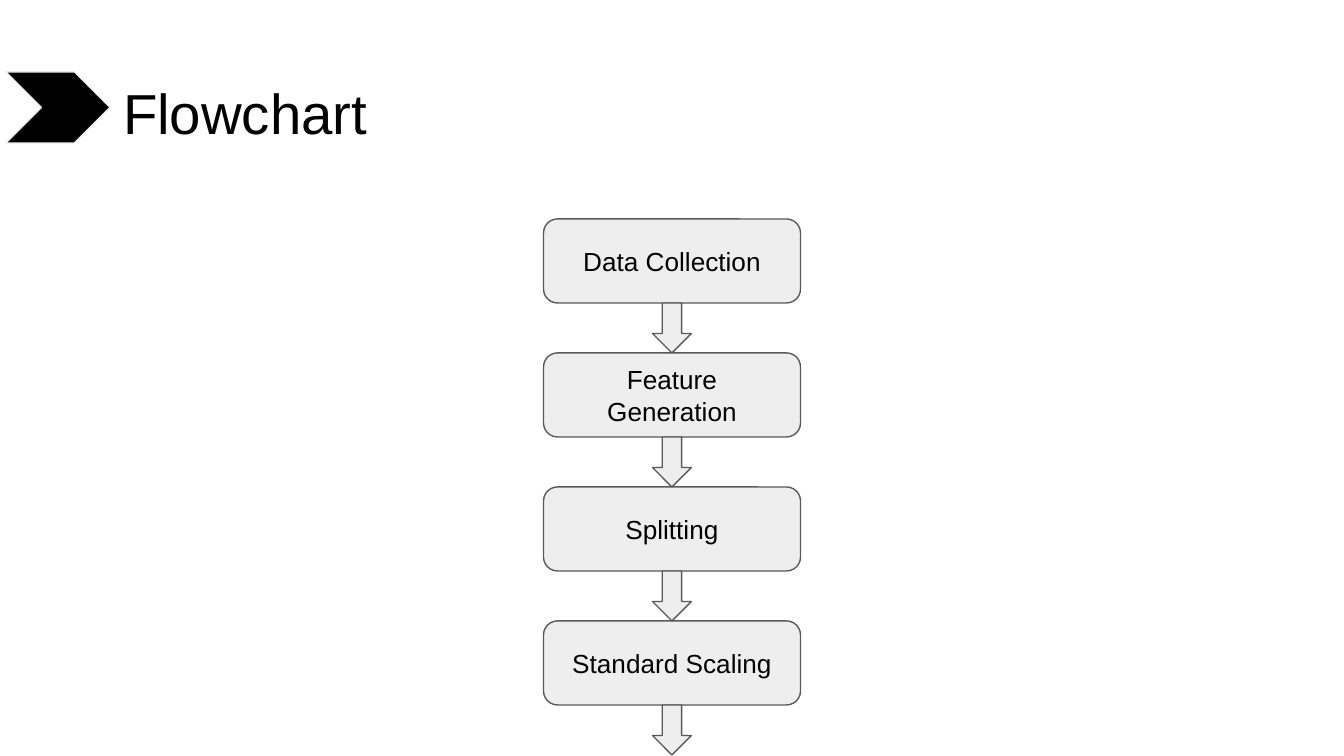
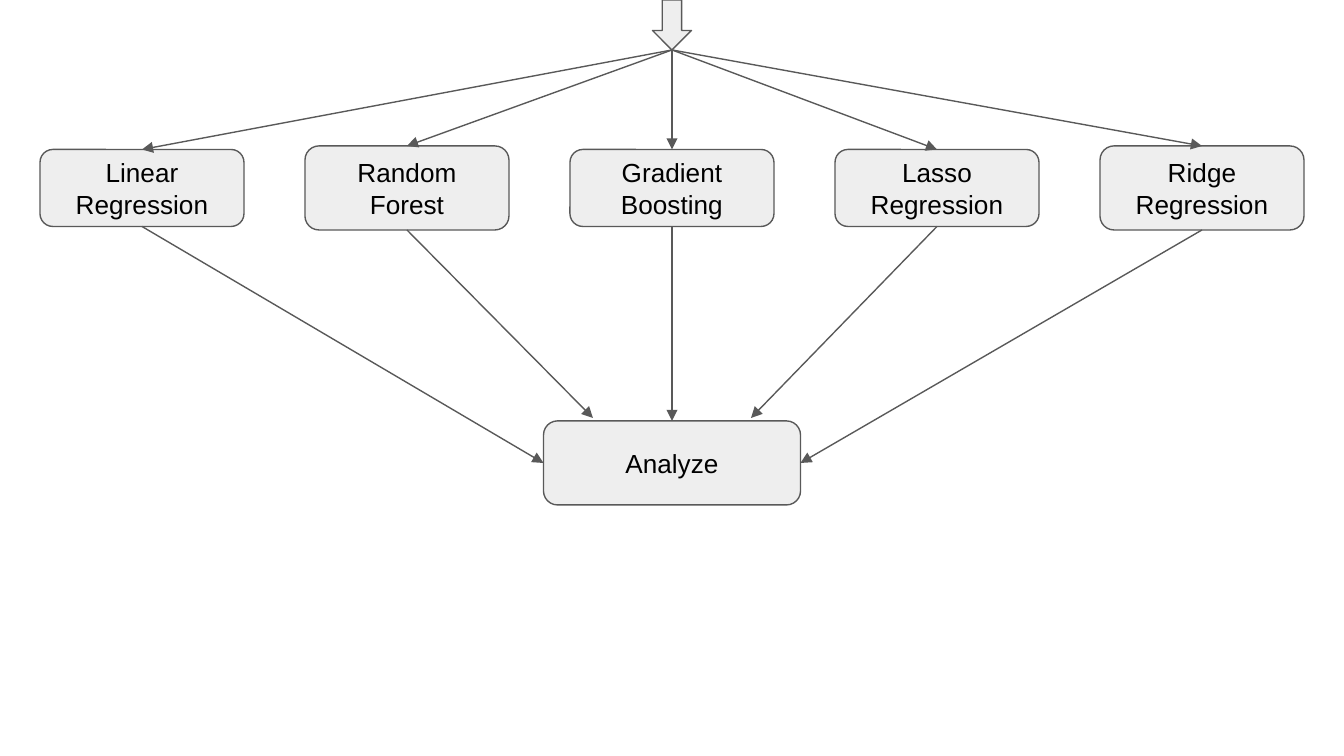
from pptx import Presentation
from pptx.dml.color import RGBColor
from pptx.enum.shapes import MSO_CONNECTOR, MSO_SHAPE
from pptx.enum.text import MSO_ANCHOR, MSO_AUTO_SIZE, PP_ALIGN
from pptx.oxml.ns import qn
from pptx.util import Pt
from lxml import etree

EMU_PER_INCH = 914400
PX_PER_INCH = 134.4
PAGE_WIDTH, PAGE_HEIGHT = 1344, 756
TITLE_ONLY, BLANK = 5, 6

ROUNDED = MSO_SHAPE.ROUNDED_RECTANGLE
DOWN_ARROW = MSO_SHAPE.DOWN_ARROW
CHEVRON = MSO_SHAPE.CHEVRON
STRAIGHT = MSO_CONNECTOR.STRAIGHT
MIDDLE, TOP_ANCHOR = MSO_ANCHOR.MIDDLE, MSO_ANCHOR.TOP
CENTER, LEFT_ALIGN = PP_ALIGN.CENTER, PP_ALIGN.LEFT
NO_AUTOFIT = MSO_AUTO_SIZE.NONE
TOP, LEFT, BOTTOM, RIGHT = range(4)

BLACK = RGBColor(0x00, 0x00, 0x00)
WHITE = RGBColor(0xFF, 0xFF, 0xFF)
PALE = RGBColor(0xEE, 0xEE, 0xEE)
GRAY = RGBColor(0x59, 0x59, 0x59)

FONT = "Arial"
LINE_WIDTH = Pt(0.75)
STEP_WIDTH, STEP_HEIGHT = 257, 84
ARROW_WIDTH, ARROW_HEIGHT = 39, 50

STEPS = ["Data Collection", "Feature Generation", "Splitting", "Standard Scaling"]
MODELS = [
    ("Linear Regression", 77),
    ("Random Forest", 84),
    ("Gradient Boosting", 77),
    ("Lasso Regression", 77),
    ("Ridge Regression", 84),
]


def px(length):
    return round(length * EMU_PER_INCH / PX_PER_INCH)


def apply_format(target, values):
    for name, value in values.items():
        setattr(target, name, value)


def write_text(shape, text, size, align, frame_format):
    frame = shape.text_frame
    margins = {f"margin_{side}": px(13) for side in ("left", "top", "right", "bottom")}
    apply_format(frame, {"word_wrap": True, "auto_size": NO_AUTOFIT} | margins | frame_format)
    para = frame.paragraphs[0]
    para.alignment = align
    span = para.add_run()
    span.text = text
    apply_format(span.font, {"name": FONT, "size": Pt(size)})
    span.font.color.rgb = BLACK


def add_outlined(page, kind, box, fill=PALE, outline=GRAY):
    shape = page.shapes.add_shape(kind, *map(px, box))
    shape.shadow.inherit = False
    shape.fill.solid()
    shape.fill.fore_color.rgb = fill
    shape.line.color.rgb = outline
    shape.line.width = LINE_WIDTH
    return shape


def add_node(page, text, box):
    node = add_outlined(page, ROUNDED, box)
    write_text(node, text, 14, CENTER, {"vertical_anchor": MIDDLE})
    return node


def add_down_arrow(page, center, top):
    add_outlined(page, DOWN_ARROW, (center - ARROW_WIDTH / 2, top, ARROW_WIDTH, ARROW_HEIGHT))


def add_link(page, start=(0, 0), end=(0, 0), source=None, target=None):
    link = page.shapes.add_connector(STRAIGHT, *map(px, start + end))
    if source:
        link.begin_connect(*source)
    if target:
        link.end_connect(*target)
    link.line.color.rgb = GRAY
    link.line.width = LINE_WIDTH
    etree.SubElement(link.line._get_or_add_ln(), qn("a:tailEnd"), type="triangle")
    etree.SubElement(link._element.spPr, qn("a:effectLst"))


def add_page(deck, layout):
    page = deck.slides.add_slide(deck.slide_layouts[layout])
    page.background.fill.solid()
    page.background.fill.fore_color.rgb = WHITE
    return page


def build_heading(page, text, box):
    left, top, width, height = box
    marker_width = 104
    title = page.shapes.title
    title_box = (left + marker_width, top - 13, width - marker_width, height + 14)
    apply_format(title, dict(zip(("left", "top", "width", "height"), map(px, title_box))))
    write_text(title, text, 30.2, LEFT_ALIGN,
               {"vertical_anchor": TOP_ANCHOR, "margin_top": px(19), "margin_bottom": 0})
    add_outlined(page, CHEVRON, (left, top, marker_width, height), BLACK, PALE)


def build_steps(page, box):
    left, top, width, height = box
    pitch = height / len(STEPS)
    tops = [top + index * pitch for index in range(len(STEPS))]
    for text, step_top in zip(STEPS, tops):
        add_node(page, text, (left, step_top, width, STEP_HEIGHT))
    for step_top in tops:
        add_down_arrow(page, left + width / 2, step_top + STEP_HEIGHT)


def build_models(page, box):
    left, top, width, height = box
    model_width = 204
    pitch = (width - model_width) / (len(MODELS) - 1)
    return [
        add_node(page, text, (left + index * pitch, top + (height - model_height) / 2,
                              model_width, model_height))
        for index, (text, model_height) in enumerate(MODELS)
    ]


def build_comparison(page, box):
    left, top, width, height = box
    center = left + width / 2
    models = build_models(page, (left, top + 146, width, 84))
    analyze_top = top + height - STEP_HEIGHT
    analyze = add_node(page, "Analyze", (center - STEP_WIDTH / 2, analyze_top,
                                         STEP_WIDTH, STEP_HEIGHT))
    add_down_arrow(page, center, top)
    for model in models:
        add_link(page, start=(center, top + ARROW_HEIGHT), target=(model, TOP))
    for model, side in zip(models[::2], (LEFT, TOP, RIGHT)):
        add_link(page, source=(model, BOTTOM), target=(analyze, side))
    for model, offset in zip(models[1::2], (-79, 79)):
        add_link(page, end=(center + offset, analyze_top - 3), source=(model, BOTTOM))


def main():
    deck = Presentation()
    deck.slide_width, deck.slide_height = px(PAGE_WIDTH), px(PAGE_HEIGHT)
    steps_page = add_page(deck, TITLE_ONLY)
    build_heading(steps_page, "Flowchart", (6, 72, 1292, 71))
    build_steps(steps_page, ((PAGE_WIDTH - STEP_WIDTH) / 2, 219, STEP_WIDTH, 536))
    models_page = add_page(deck, BLANK)
    build_comparison(models_page, (40, 0, 1264, 505))
    deck.save("out.pptx")


if __name__ == "__main__":
    main()
